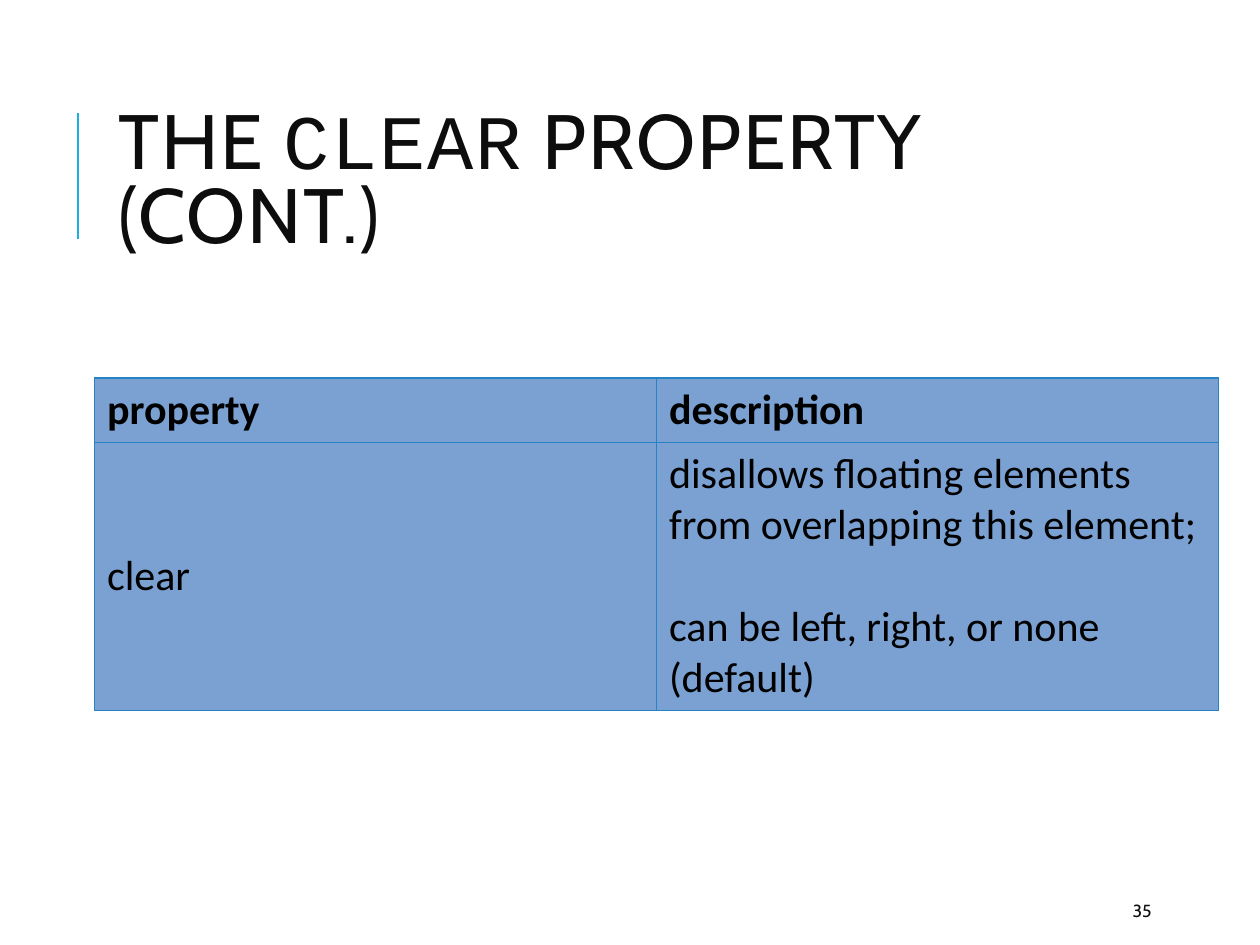
import pptx
import pptx.dml.color
import pptx.enum.shapes
import pptx.enum.text
import pptx.oxml
import pptx.oxml.ns
import pptx.util
from lxml import etree
from pptx.util import Inches

COLORS = {"accent": "1CADE4", "border": "2683C6", "cell": "7AA1D2",
          "text": "0D0D0D", "table_text": "000000"}
ROWS = [
    [["property"], ["description"]],
    [["clear"], ["disallows floating elements from overlapping this element;",
                 "can be left, right, or none (default)"]],
]
ROW_HEIGHTS = [0.51, 2.13]
MIDDLE = pptx.enum.text.MSO_ANCHOR.MIDDLE


def rgb(name):
    return pptx.dml.color.RGBColor.from_string(COLORS[name])


def set_font(font, name, size, color, bold=False):
    font.name = name
    font.size = pptx.util.Pt(size)
    font.color.rgb = rgb(color)
    font.bold = bold


def add_accent_line(page):
    line = page.shapes.add_connector(
        pptx.enum.shapes.MSO_CONNECTOR.STRAIGHT,
        Inches(0.62), Inches(1.9), Inches(0.62), Inches(0.9))
    line.line.color.rgb = rgb("accent")
    line.line.width = pptx.util.Pt(1.5)
    etree.SubElement(line._element.spPr, pptx.oxml.ns.qn("a:effectLst"))


def fill_title(page):
    title = page.shapes.title
    title.left, title.top = Inches(0.84), Inches(0.64)
    title.width, title.height = Inches(7.97), Inches(1.64)
    frame = title.text_frame
    frame.auto_size = pptx.enum.text.MSO_AUTO_SIZE.NONE
    frame.vertical_anchor = MIDDLE
    para = frame.paragraphs[0]
    para.alignment = pptx.enum.text.PP_ALIGN.LEFT
    para.line_spacing = 0.8
    for text, font in [("THE ", "Cabin"), ("CLEAR", "Courier New"),
                       (" PROPERTY (CONT.)", "Cabin")]:
        span = para.add_run()
        span.text = text
        set_font(span.font, font, 44, "text")
        span.font._element.set("spc", "100")


def add_borders(cell):
    properties = cell._tc.get_or_add_tcPr()
    for index, side in enumerate(("lnL", "lnR", "lnT", "lnB")):
        properties.insert(index, pptx.oxml.parse_xml(
            f'<a:{side} {pptx.oxml.ns.nsdecls("a")} w="9525"><a:solidFill>'
            f'<a:srgbClr val="{COLORS["border"]}"/></a:solidFill></a:{side}>'))


def fill_cell(cell, lines, bold):
    cell.fill.solid()
    cell.fill.fore_color.rgb = rgb("cell")
    cell.vertical_anchor = MIDDLE
    add_borders(cell)
    for index, text in enumerate(lines):
        frame = cell.text_frame
        para = frame.add_paragraph() if index else frame.paragraphs[0]
        para.text = text
        set_font(para.font, "Calibri", 24, "table_text", bold)
        if index:
            para.space_before = pptx.util.Pt(29)


def add_property_table(page):
    table = page.shapes.add_table(
        len(ROWS), 2, Inches(0.75), Inches(3),
        Inches(8.92), Inches(sum(ROW_HEIGHTS))).table
    for row, (cells, height) in enumerate(zip(ROWS, ROW_HEIGHTS)):
        table.rows[row].height = Inches(height)
        for column, lines in enumerate(cells):
            fill_cell(table.cell(row, column), lines, bold=row == 0)


def add_page_number(page):
    box = page.shapes.add_textbox(
        Inches(8.89), Inches(7.08), Inches(0.8), Inches(0.3))
    frame = box.text_frame
    frame.word_wrap = True
    frame.vertical_anchor = MIDDLE
    para = frame.paragraphs[0]
    para.text = "35"
    set_font(para.font, "Cabin", 10, "text")


def main():
    deck = pptx.Presentation()
    deck.slide_width, deck.slide_height = Inches(10), Inches(7.5)
    page = deck.slides.add_slide(deck.slide_layouts.get_by_name("Title Only"))
    add_accent_line(page)
    fill_title(page)
    add_property_table(page)
    add_page_number(page)
    deck.save("out.pptx")


if __name__ == "__main__":
    main()
